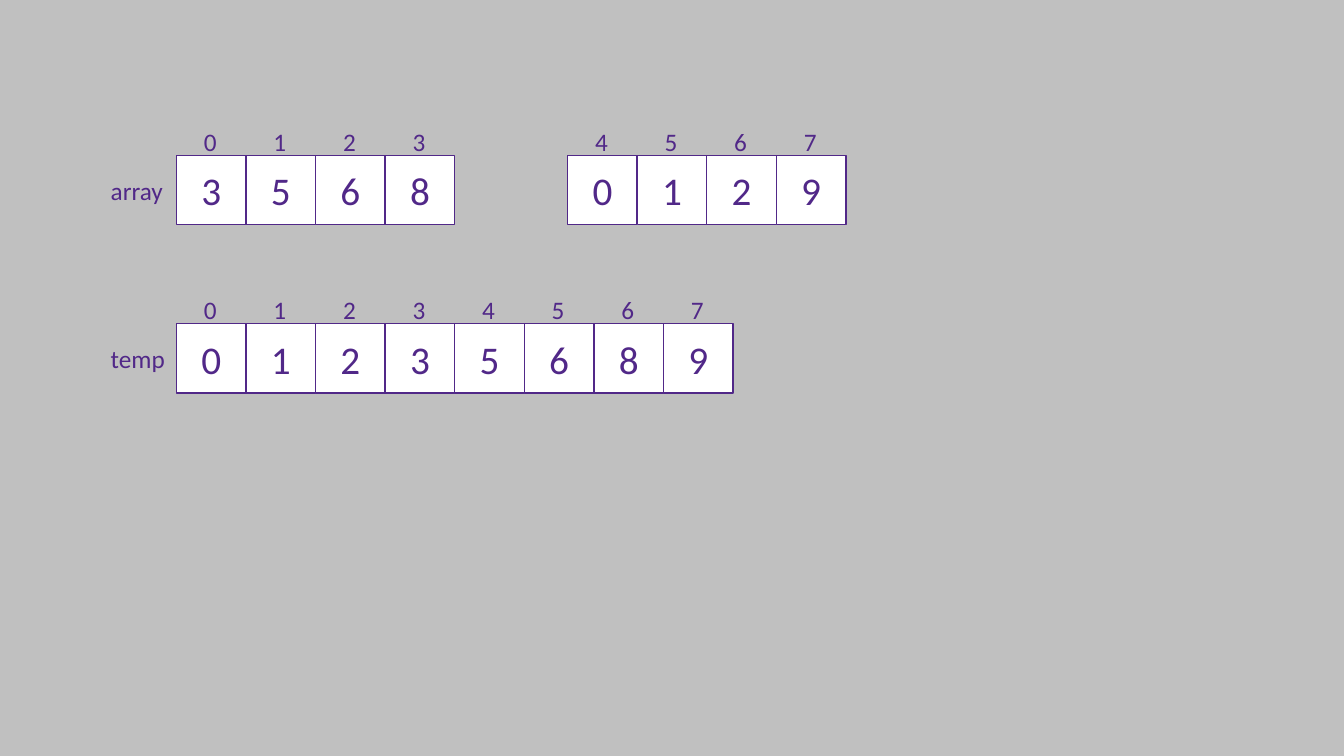
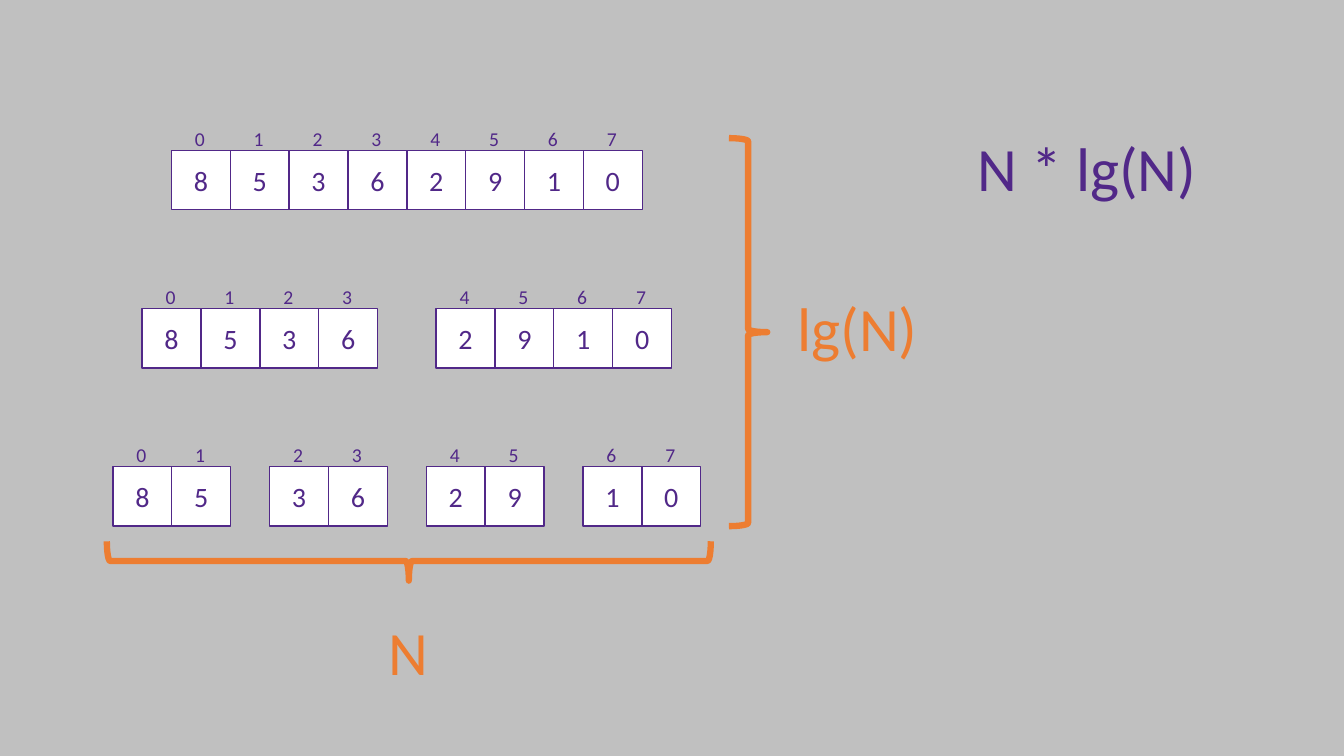
from pptx import Presentation
from pptx.dml.color import RGBColor
from pptx.enum.shapes import MSO_SHAPE
from pptx.enum.text import MSO_ANCHOR, MSO_AUTO_SIZE, PP_ALIGN
from pptx.util import Inches, Pt

FONT = "Calibri"
BACKGROUND = "C0C0C0"
PURPLE = "512888"
ORANGE = "ED7D31"
WHITE = "FFFFFF"


def rgb(color):
    return RGBColor.from_string(color)


def inches(box):
    return [Inches(length) for length in box]


def write(text_frame, text, size, color, alignment=PP_ALIGN.LEFT):
    paragraph = text_frame.paragraphs[0]
    paragraph.text = text
    paragraph.alignment = alignment
    font = paragraph.runs[0].font
    font.name = FONT
    font.size = Pt(size)
    font.color.rgb = rgb(color)


def add_label(shapes, box, text, size, color=PURPLE, alignment=PP_ALIGN.LEFT):
    text_frame = shapes.add_textbox(*inches(box)).text_frame
    text_frame.word_wrap = False
    text_frame.auto_size = MSO_AUTO_SIZE.SHAPE_TO_FIT_TEXT
    write(text_frame, text, size, color, alignment)


def add_cell(shapes, box, value, size):
    cell = shapes.add_shape(MSO_SHAPE.RECTANGLE, *inches(box))
    cell.shadow.inherit = False
    cell.fill.solid()
    cell.fill.fore_color.rgb = rgb(WHITE)
    cell.line.color.rgb = rgb(PURPLE)
    cell.line.width = Pt(1)
    cell.text_frame.vertical_anchor = MSO_ANCHOR.MIDDLE
    write(cell.text_frame, value, size, PURPLE, PP_ALIGN.CENTER)


def add_array(slide, box, values, first_index, value_size, index_size):
    """Fill the box with one cell per value and number the cells above it."""
    left, top, width, height = box
    shapes = slide.shapes.add_group_shape().shapes
    cell_width = width / len(values)
    index_height = index_size / 60 + 0.1
    for position, value in enumerate(values):
        cell_left = left + position * cell_width
        add_cell(shapes, (cell_left, top, cell_width, height), value, value_size)
        add_label(shapes,
                  (cell_left - 0.01, top - height / 2 + 0.01, cell_width, index_height),
                  str(first_index + position), index_size, alignment=PP_ALIGN.CENTER)


def add_brace(slide, preset, box, rotation=0):
    brace = slide.shapes.add_shape(preset, *inches(box))
    brace.shadow.inherit = False
    brace.fill.background()
    brace.line.color.rgb = rgb(ORANGE)
    brace.line.width = Pt(4.5)
    brace.rotation = rotation


def add_blank_slide(presentation):
    return presentation.slides.add_slide(presentation.slide_layouts[6])


def build_merge_slide(presentation):
    slide = add_blank_slide(presentation)
    cell = 0.69
    rows = [
        ("array", 1.54, [(1.75, "3568"), (5.63, "0129")]),
        ("temp", 3.21, [(1.75, "01235689")]),
    ]
    for name, top, arrays in rows:
        add_label(slide.shapes, (1, top + 0.15, 0.74, 0.4), name, 18)
        first_index = 0
        for left, values in arrays:
            add_array(slide, (left, top, cell * len(values), cell),
                      values, first_index, 28, 18)
            first_index += len(values)


def add_split_levels(slide, left, top, width, values):
    """Halve the array at each level, spreading the pieces to both sides."""
    cell, level_gap, spread = 0.59, 1.57, 0.29
    for level in range(3):
        count = 2 ** level
        length = len(values) // count
        piece_width = width / count
        level_left = left - level * spread
        level_width = width + 2 * level * spread
        step = (level_width - piece_width) / max(count - 1, 1)
        for piece in range(count):
            first = piece * length
            box = (level_left + piece * step, top + level * level_gap, piece_width, cell)
            add_array(slide, box, values[first:first + length], first, 20, 14)


def build_cost_slide(presentation):
    slide = add_blank_slide(presentation)
    add_split_levels(slide, 1.7, 1.49, 4.67, "85362910")
    add_brace(slide, MSO_SHAPE.RIGHT_BRACE, (7.23, 1.37, 0.38, 3.85))
    add_brace(slide, MSO_SHAPE.LEFT_BRACE, (3.86, 2.57, 0.39, 5.99), 270)
    add_label(slide.shapes, (7.81, 2.83, 1.41, 0.84), "lg(N)", 44, ORANGE)
    add_label(slide.shapes, (3.76, 6.04, 0.6, 0.84), "N", 44, ORANGE)
    add_label(slide.shapes, (9.6, 1.24, 2.39, 0.84), "N * lg(N)", 44)


def main():
    presentation = Presentation()
    presentation.slide_width = Inches(13.33)
    presentation.slide_height = Inches(7.5)
    background = presentation.slide_master.background.fill
    background.solid()
    background.fore_color.rgb = rgb(BACKGROUND)
    build_merge_slide(presentation)
    build_cost_slide(presentation)
    presentation.save("out.pptx")


if __name__ == "__main__":
    main()
